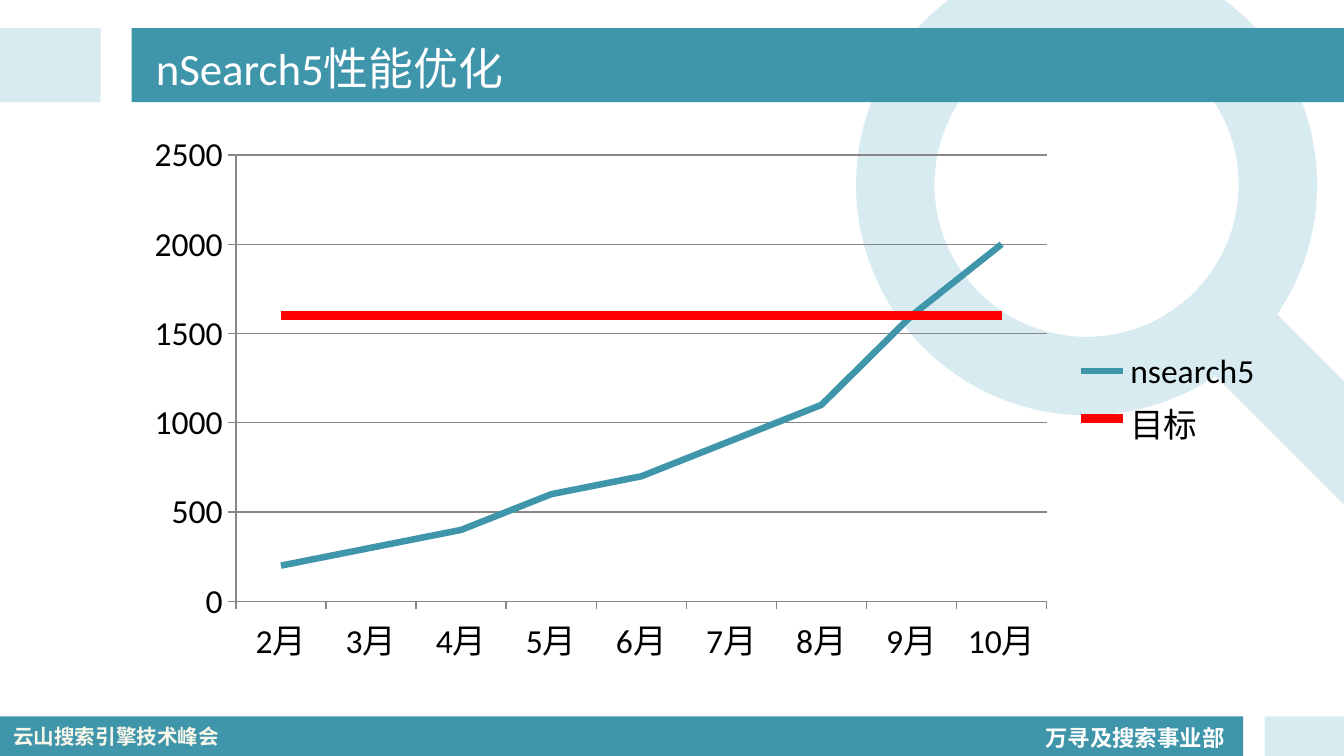
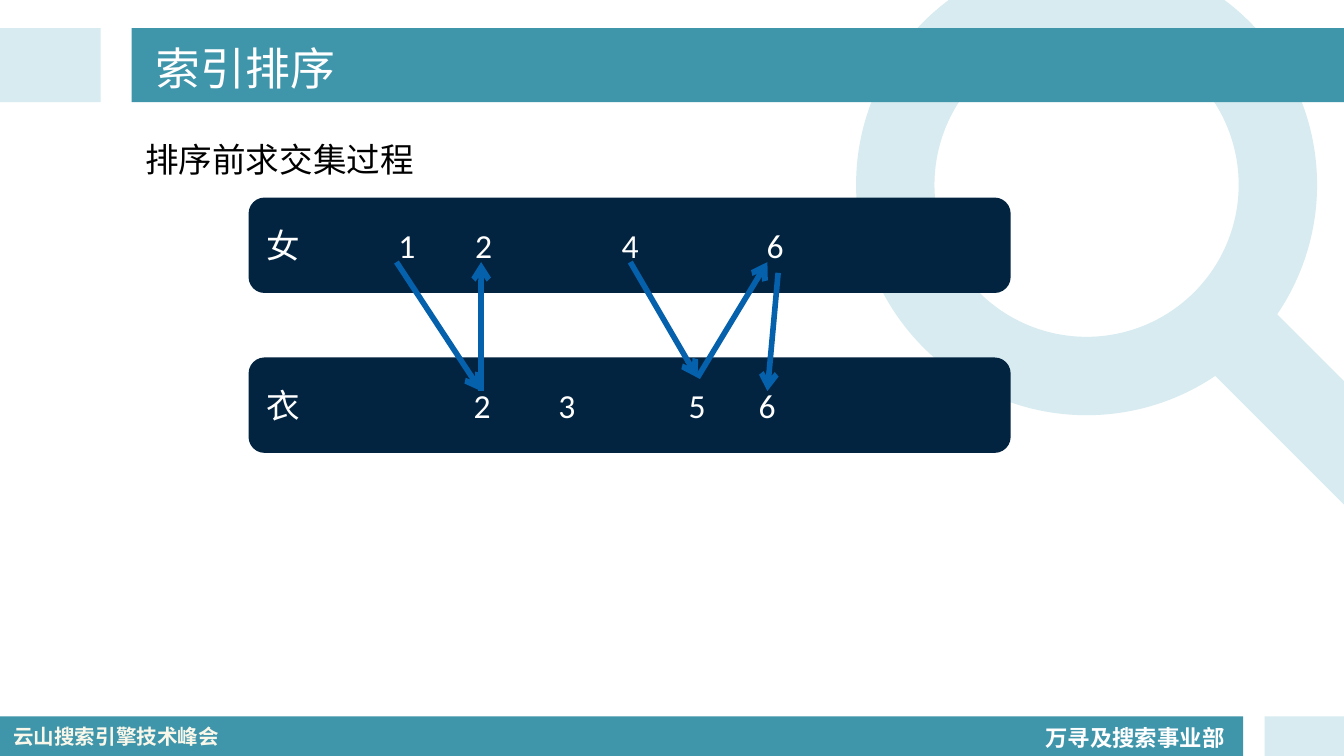
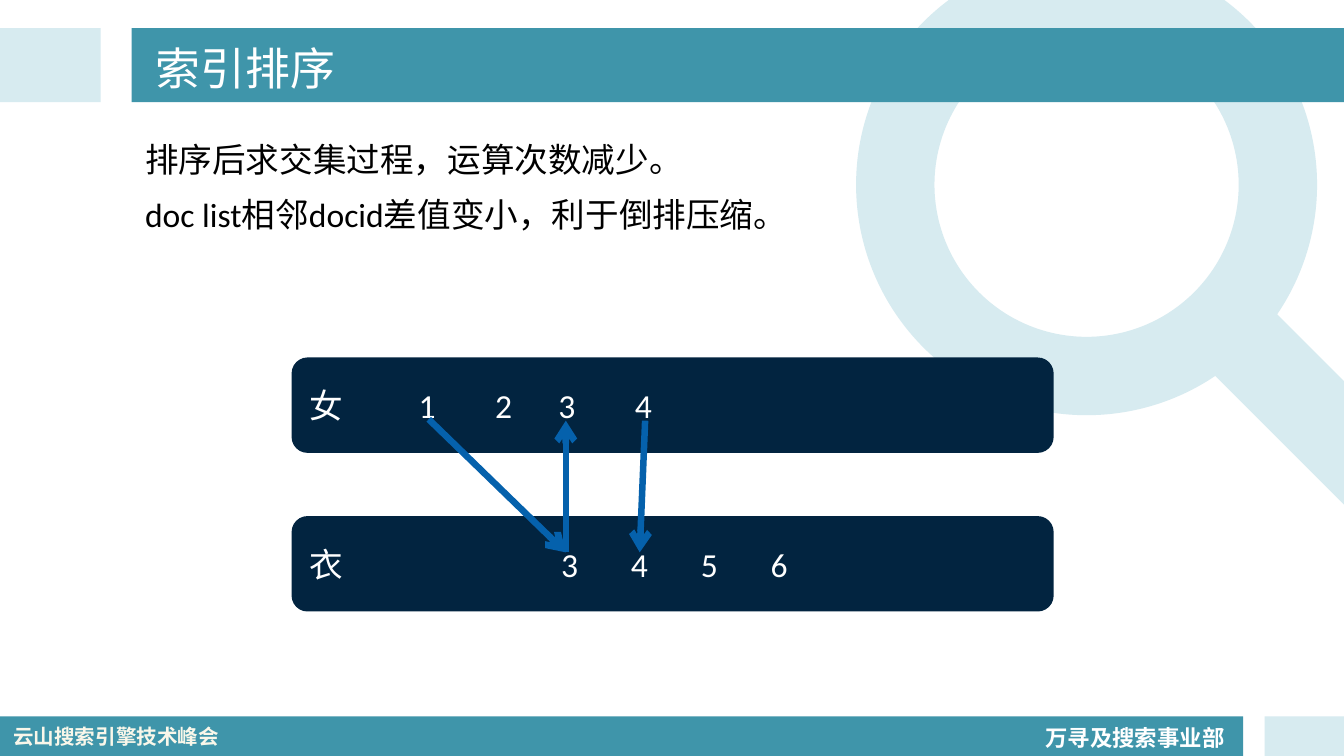
from dataclasses import dataclass
from typing import NamedTuple

from lxml.etree import SubElement
from pptx import Presentation
from pptx.chart.data import CategoryChartData
from pptx.dml.color import RGBColor
from pptx.enum.chart import XL_CHART_TYPE as ChartType
from pptx.enum.chart import XL_LEGEND_POSITION as LegendPosition
from pptx.enum.chart import XL_MARKER_STYLE as MarkerStyle
from pptx.enum.chart import XL_TICK_MARK as TickMark
from pptx.enum.shapes import MSO_CONNECTOR as Connector
from pptx.enum.shapes import MSO_SHAPE as Preset
from pptx.enum.text import MSO_ANCHOR as Anchor
from pptx.enum.text import MSO_AUTO_SIZE as AutoSize
from pptx.enum.text import PP_ALIGN as Align
from pptx.oxml.ns import qn
from pptx.util import Inches, Pt


@dataclass(frozen=True)
class Theme:
    teal: str = "3F95AA"
    pale: str = "D7EBF0"
    navy: str = "022440"
    arrow: str = "0561AC"
    target: str = "FF0000"
    grid: str = "878787"
    white: str = "FFFFFF"
    cream: str = "F9F7EA"
    ink: str = "000000"
    font: str = "Calibri"
    cjk_font: str = "Noto Sans CJK SC"
    title_size: float = 24
    body_size: float = 18
    unit_size: float = 12
    event_size: float = 11


THEME = Theme()
COLUMNS, ROWS = 100, 56.25  # square cells, a tenth of an inch each
CELL = Inches(0.1)


class Frame(NamedTuple):
    """A box in columns and rows."""
    left: float
    top: float
    width: float
    height: float

    def lengths(self) -> list[int]:
        return [round(cells * CELL) for cells in self]


class Band(NamedTuple):
    frame: Frame
    color: str


class Posting(NamedTuple):
    """A term with its document ids; centers are the columns of the ids."""
    term: str
    ids: str
    centers: tuple[float, ...]
    left: float
    top: float


class Step(NamedTuple):
    """An arrow from one column and row to another."""
    x1: float
    y1: float
    x2: float
    y2: float


TITLE = Frame(10.6, 2.3, 84.4, 5.4)
CONTENT = Frame(9.8, 9.2, 85.2, 41)
LENS = Frame(63.7, -3.4, 34.3, 34.3)
HANDLE = Frame(86.6, 27, 21.4, 6.5)
UNIT = Frame(76.8, 53, 15.5, 3.3)
EVENT = Frame(0, 53.4, 17.7, 2.9)
FOOTER_TOP, HEADER_TOP, HEADER_HEIGHT = 53.3, 2.1, 5.5
FOOTER_HEIGHT = ROWS - FOOTER_TOP
BANDS = (
    Band(Frame(0, FOOTER_TOP, 92.5, FOOTER_HEIGHT), THEME.teal),
    Band(Frame(94.1, FOOTER_TOP, 5.9, FOOTER_HEIGHT), THEME.pale),
    Band(Frame(0, HEADER_TOP, 7.5, HEADER_HEIGHT), THEME.pale),
    Band(Frame(9.8, HEADER_TOP, COLUMNS - 9.8, HEADER_HEIGHT), THEME.teal),
)
POSTING_WIDTH, POSTING_HEIGHT = 56.7, 7.1
POSTING_INSET = 1.35


def rgb(color: str) -> RGBColor:
    return RGBColor.from_string(color)


def style_text(para, size: float, color: str, font: str = THEME.font, bold: bool = False) -> None:
    for span in para.runs:
        span.font.size, span.font.name, span.font.bold = Pt(size), font, bold
        span.font.color.rgb = rgb(color)


def add_filled(shapes, preset: Preset, frame: Frame, color: str):
    shape = shapes.add_shape(preset, *frame.lengths())
    shape.shadow.inherit = False
    shape.fill.solid()
    shape.fill.fore_color.rgb = rgb(color)
    shape.line.fill.background()
    return shape


def add_label(page, frame: Frame, text: str, size: float, color: str, font: str, wrap: bool):
    box = page.shapes.add_textbox(*frame.lengths())
    box.text_frame.word_wrap = wrap
    box.text_frame.auto_size = AutoSize.SHAPE_TO_FIT_TEXT
    para = box.text_frame.paragraphs[0]
    para.text = text
    style_text(para, size, color, font, bold=True)
    return box


def add_magnifier(page):
    group = page.shapes.add_group_shape()
    lens = add_filled(group.shapes, Preset.DONUT, LENS, THEME.pale)
    lens.adjustments[0] = 0.17
    handle = add_filled(group.shapes, Preset.ROUNDED_RECTANGLE, HANDLE, THEME.pale)
    handle.adjustments[0] = 0.5
    handle.rotation = 45
    return group


def prepare_layout(layout) -> None:
    """Place the title and body; drop the date, footer and number fields."""
    for holder in list(layout.placeholders):
        index = holder.placeholder_format.idx
        if index > 1:
            holder.element.getparent().remove(holder.element)
        else:
            frame = CONTENT if index else TITLE
            holder.left, holder.top, holder.width, holder.height = frame.lengths()


def decorate_layout(layout, page) -> None:
    """Draw the shared parts on a page and move them behind the layout's placeholders."""
    parts = [add_magnifier(page)]
    parts += [add_filled(page.shapes, Preset.RECTANGLE, *band) for band in BANDS]
    unit = add_label(page, UNIT, "万寻及搜索事业部", THEME.unit_size, THEME.white, THEME.font, False)
    unit.text_frame.paragraphs[0].line_spacing = 1.2
    event = add_label(page, EVENT, "云山搜索引擎技术峰会", THEME.event_size,
                      THEME.cream, THEME.cjk_font, True)
    for position, part in enumerate([*parts, unit, event], start=2):
        layout.shapes.element.insert(position, part.element)


def fill_page(page, title: str, lines: tuple[str, ...] = ()) -> None:
    """Write the title and body; without lines the body is removed."""
    frame = page.shapes.title.text_frame
    frame.text = title
    frame.vertical_anchor = Anchor.MIDDLE
    frame.paragraphs[0].alignment = Align.LEFT
    style_text(frame.paragraphs[0], THEME.title_size, THEME.white)
    body = page.placeholders[1]
    if not lines:
        body.element.getparent().remove(body.element)
        return
    body.text_frame.text = "\n".join(lines)
    for para in body.text_frame.paragraphs:
        para.line_spacing = 1.2
        style_text(para, THEME.body_size, THEME.ink)
        props = para._p.get_or_add_pPr()
        props.set("marL", "0")
        props.set("indent", "0")
        SubElement(props, qn("a:buNone"))


def add_posting(page, posting: Posting) -> None:
    frame = Frame(posting.left, posting.top, POSTING_WIDTH, POSTING_HEIGHT)
    shape = add_filled(page.shapes, Preset.ROUNDED_RECTANGLE, frame, THEME.navy)
    shape.text_frame.vertical_anchor = Anchor.MIDDLE
    para = shape.text_frame.paragraphs[0]
    para.text = "\t".join([posting.term, *posting.ids])
    para.alignment = Align.LEFT
    style_text(para, THEME.body_size, THEME.white)
    stops = SubElement(para._p.get_or_add_pPr(), qn("a:tabLst"))
    for center in posting.centers:
        offset = round((center - posting.left - POSTING_INSET) * CELL)
        SubElement(stops, qn("a:tab"), pos=str(offset), algn="ctr")


def add_step(page, step: Step, width: float) -> None:
    ends = [round(cells * CELL) for cells in step]
    arrow = page.shapes.add_connector(Connector.STRAIGHT, *ends)
    arrow.line.width = Pt(width)
    arrow.line.color.rgb = rgb(THEME.arrow)
    props = arrow.element.spPr
    SubElement(props.find(qn("a:ln")), qn("a:tailEnd"), type="arrow")
    SubElement(props, qn("a:effectLst"))


def add_intersection(page, postings: tuple[Posting, ...], steps: tuple[Step, ...],
                     width: float) -> None:
    for posting in postings:
        add_posting(page, posting)
    for step in steps:
        add_step(page, step, width)


def add_performance_chart(page) -> None:
    data = CategoryChartData()
    data.categories = [f"{month}月" for month in range(2, 11)]
    data.add_series("nsearch5", (200, 300, 400, 600, 700, 900, 1100, 1600, 2000))
    data.add_series("目标", [1600] * 9)
    chart = page.shapes.add_chart(ChartType.LINE, *CONTENT.lengths(), data).chart
    chart.font.size, chart.font.name = Pt(THEME.body_size), THEME.font
    chart.font.color.rgb = rgb(THEME.ink)
    chart.has_title = False
    chart.has_legend = True
    chart.legend.position = LegendPosition.RIGHT
    chart.legend.include_in_layout = False
    plot = chart.plots[0]
    plot.vary_by_categories = False
    for series, color, width in zip(plot.series, (THEME.teal, THEME.target), (3.5, 5)):
        series.smooth = False
        series.marker.style = MarkerStyle.NONE
        series.format.line.color.rgb = rgb(color)
        series.format.line.width = Pt(width)
    values, months = chart.value_axis, chart.category_axis
    values.has_major_gridlines = True
    for axis in (values, months):
        axis.major_tick_mark = TickMark.OUTSIDE
    for rule in (values, months, values.major_gridlines):
        rule.format.line.color.rgb = rgb(THEME.grid)
        rule.format.line.width = Pt(0.75)


def main() -> None:
    deck = Presentation()
    deck.slide_width, deck.slide_height = COLUMNS * CELL, round(ROWS * CELL)
    layout = deck.slide_layouts[1]
    prepare_layout(layout)
    performance, unsorted_page, sorted_page = [deck.slides.add_slide(layout) for _ in range(3)]
    decorate_layout(layout, performance)

    fill_page(performance, "nSearch5性能优化")
    add_performance_chart(performance)

    fill_page(unsorted_page, "索引排序", ("排序前求交集过程",))
    add_intersection(
        unsorted_page,
        (Posting("女", "1246", (30.3, 36, 46.9, 57.7), 18.5, 14.7),
         Posting("衣", "2356", (35.9, 42.2, 51.9, 57.1), 18.5, 26.6)),
        (Step(29.5, 19.5, 35.8, 29.1), Step(35.8, 29.1, 35.8, 19.5),
         Step(46.9, 19.5, 51.9, 28.1), Step(51.9, 28.1, 57.1, 19.5),
         Step(57.9, 20.3, 57.1, 29.1)),
        width=3)

    fill_page(sorted_page, "索引排序",
              ("排序后求交集过程，运算次数减少。", "doc list相邻docid差值变小，利于倒排压缩。"))
    add_intersection(
        sorted_page,
        (Posting("女", "1234", (31.8, 37.5, 42.2, 47.9), 21.7, 26.6),
         Posting("衣", "3456", (42.4, 47.6, 52.8, 58), 21.7, 38.4)),
        (Step(31.9, 31.2, 42.1, 41.1), Step(42.1, 41.1, 42.1, 31.3),
         Step(48, 31.3, 47.6, 41.1)),
        width=3.5)

    deck.save("out.pptx")


if __name__ == "__main__":
    main()
